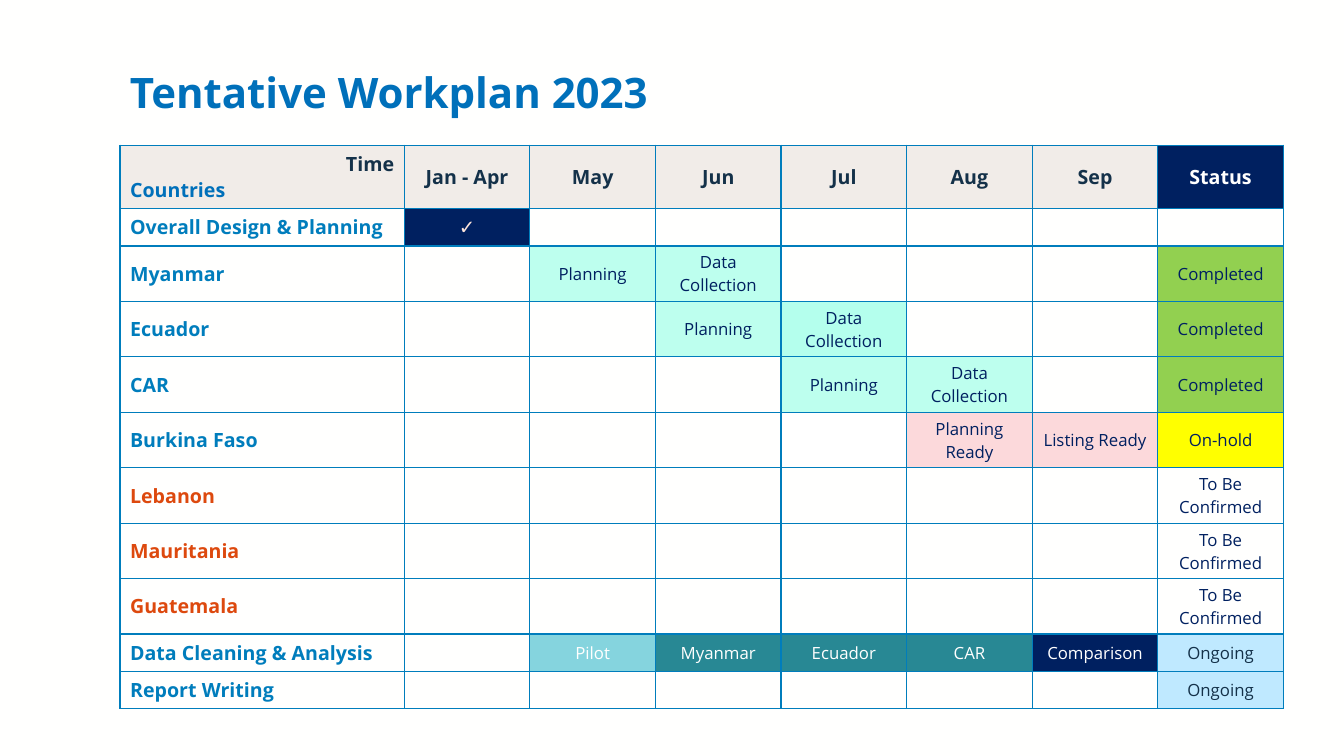
from lxml.etree import SubElement
from pptx import Presentation
from pptx.dml.color import RGBColor
from pptx.enum.text import MSO_ANCHOR, PP_ALIGN
from pptx.oxml.ns import qn
from pptx.util import Inches, Pt

FONT = "Open Sans"
PAPER = RGBColor(0xFF, 0xFF, 0xFE)
WHITE = RGBColor(0xFF, 0xFF, 0xFF)
NAVY = RGBColor(0x00, 0x20, 0x60)
INK = RGBColor(0x14, 0x31, 0x49)
TITLE_BLUE = RGBColor(0x00, 0x70, 0xBA)
BLUE = RGBColor(0x00, 0x7D, 0xBC)
ORANGE = RGBColor(0xDD, 0x49, 0x0E)
PEACH = RGBColor(0xFD, 0xE4, 0xDA)
SAND = RGBColor(0xF1, 0xEC, 0xE8)
MINT = RGBColor(0xBD, 0xFF, 0xEE)
LIGHT_MINT = RGBColor(0xB4, 0xFF, 0xED)
GREEN = RGBColor(0x92, 0xD0, 0x50)
PINK = RGBColor(0xFC, 0xD9, 0xDB)
YELLOW = RGBColor(0xFF, 0xFF, 0x00)
AQUA = RGBColor(0x85, 0xD4, 0xDE)
TEAL = RGBColor(0x28, 0x88, 0x94)
SKY = RGBColor(0xBF, 0xE9, 0xFF)

LEFT, WIDTH = 1.19, 11.54
TABLE_TOP = 1.44
NAME_WIDTH = 2.82
HEADER_HEIGHT, ONE_LINE, TWO_LINES = 0.63, 0.37, 0.55

periods = ["Jan - Apr", "May", "Jun", "Jul", "Aug", "Sep", "Status"]
STATUS = len(periods)

# Activity, name colour, row height, {column: (text, text colour, fill)}
completed = ("Completed", NAVY, GREEN)
planning = ("Planning", NAVY, MINT)
collection = ("Data Collection", NAVY, MINT)
unconfirmed = {STATUS: ("To Be Confirmed", NAVY, None)}
ongoing = ("Ongoing", INK, SKY)
activities = [
    ("Overall Design & Planning", BLUE, ONE_LINE, {1: ("✓", PEACH, NAVY)}),
    ("Myanmar", BLUE, TWO_LINES, {2: planning, 3: collection, STATUS: completed}),
    ("Ecuador", BLUE, TWO_LINES,
     {3: planning, 4: ("Data Collection", NAVY, LIGHT_MINT), STATUS: completed}),
    ("CAR", BLUE, TWO_LINES, {4: planning, 5: collection, STATUS: completed}),
    ("Burkina Faso", BLUE, TWO_LINES,
     {4: ("", NAVY, WHITE), 5: ("Planning Ready", NAVY, PINK),
      6: ("Listing Ready", NAVY, PINK), STATUS: ("On-hold", NAVY, YELLOW)}),
    ("Lebanon", ORANGE, TWO_LINES, unconfirmed),
    ("Mauritania", ORANGE, TWO_LINES, unconfirmed),
    ("Guatemala", ORANGE, TWO_LINES, unconfirmed),
    ("Data Cleaning & Analysis", BLUE, ONE_LINE,
     {2: ("Pilot", PAPER, AQUA), 3: ("Myanmar", PAPER, TEAL),
      4: ("Ecuador", PAPER, TEAL), 5: ("CAR", PAPER, TEAL),
      6: ("Comparison", WHITE, NAVY), STATUS: ongoing}),
    ("Report Writing", BLUE, ONE_LINE, {STATUS: ongoing}),
]


def write(paragraph, text, size, color, bold, align):
    paragraph.text = text
    paragraph.alignment = align
    paragraph.font.name = FONT
    paragraph.font.size = Pt(size)
    paragraph.font.bold = bold
    paragraph.font.color.rgb = color


def fill_cell(cell, text, size, color, bold, align, fill):
    """Write one table cell with its borders and background."""
    properties = cell._tc.get_or_add_tcPr()
    for side in ("a:lnL", "a:lnR", "a:lnT", "a:lnB"):
        border = SubElement(properties, qn(side), w=str(Pt(1)))
        SubElement(SubElement(border, qn("a:solidFill")), qn("a:srgbClr"), val=str(BLUE))
    if fill is None:
        cell.fill.background()
    else:
        cell.fill.solid()
        cell.fill.fore_color.rgb = fill
    cell.vertical_anchor = MSO_ANCHOR.MIDDLE
    write(cell.text_frame.paragraphs[0], text, size, color, bold, align)


presentation = Presentation()
presentation.slide_width = Inches(13.33)
presentation.slide_height = Inches(7.5)
slide = presentation.slides.add_slide(presentation.slide_layouts[6])
slide.background.fill.solid()
slide.background.fill.fore_color.rgb = PAPER

title = slide.shapes.add_textbox(
    Inches(LEFT), Inches(0.58), Inches(WIDTH), Inches(0.72)).text_frame
title.word_wrap = True
title.vertical_anchor = MSO_ANCHOR.MIDDLE
write(title.paragraphs[0], "Tentative Workplan 2023", 30, TITLE_BLUE, True, PP_ALIGN.LEFT)
title.paragraphs[0].line_spacing = 0.9

heights = [HEADER_HEIGHT] + [height for _, _, height, _ in activities]
workplan = slide.shapes.add_table(
    len(heights), STATUS + 1, Inches(LEFT), Inches(TABLE_TOP),
    Inches(WIDTH), Inches(sum(heights))).table
workplan.horz_banding = False
for row, height in zip(workplan.rows, heights):
    row.height = Inches(height)
for index, column in enumerate(workplan.columns):
    column.width = Inches((WIDTH - NAME_WIDTH) / STATUS if index else NAME_WIDTH)

corner = workplan.cell(0, 0)
fill_cell(corner, "Time", 14, INK, True, PP_ALIGN.RIGHT, SAND)
write(corner.text_frame.add_paragraph(), "Countries", 14, TITLE_BLUE, True, PP_ALIGN.LEFT)
for column, period in enumerate(periods, 1):
    color, fill = (WHITE, NAVY) if column == STATUS else (INK, SAND)
    fill_cell(workplan.cell(0, column), period, 14, color, True, PP_ALIGN.CENTER, fill)

for row, (activity, name_color, _, stages) in enumerate(activities, 1):
    fill_cell(workplan.cell(row, 0), activity, 14, name_color, True, PP_ALIGN.LEFT, None)
    for column in range(1, STATUS + 1):
        text, color, fill = stages.get(column, ("", NAVY, None))
        size = 14 if text == "✓" else 12
        fill_cell(workplan.cell(row, column), text, size, color, False,
                  PP_ALIGN.CENTER, fill)

presentation.save("out.pptx")
